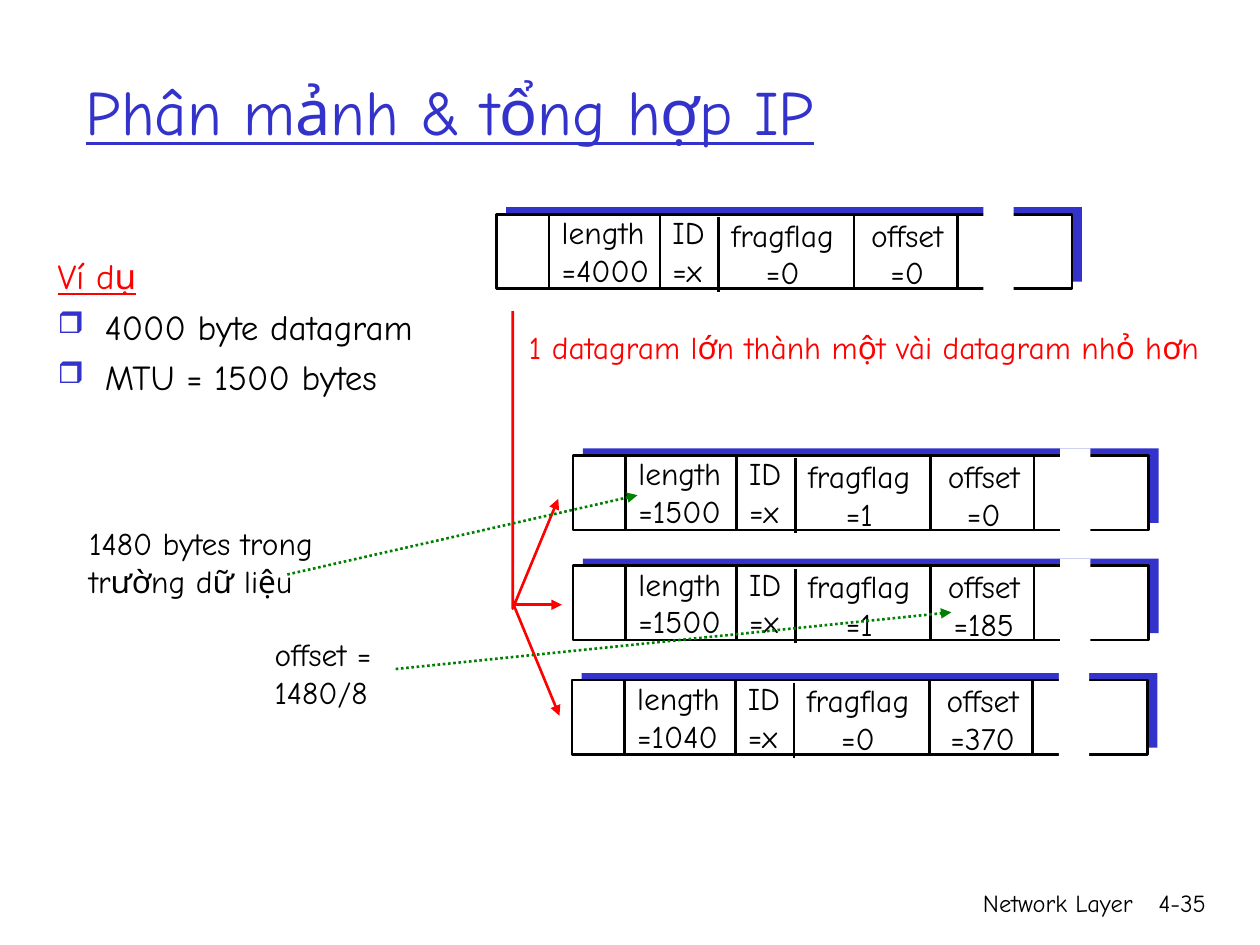
from lxml.etree import SubElement
from pptx import Presentation
from pptx.dml.color import RGBColor
from pptx.enum.dml import MSO_LINE
from pptx.enum.shapes import MSO_CONNECTOR, MSO_SHAPE
from pptx.enum.text import MSO_ANCHOR, MSO_AUTO_SIZE, PP_ALIGN
from pptx.oxml.ns import qn
from pptx.util import Pt

FONT = "Comic Neue"
BLACK = RGBColor(0x00, 0x00, 0x00)
WHITE = RGBColor(0xFF, 0xFF, 0xFF)
BLUE = RGBColor(0x33, 0x33, 0xCC)
RED = RGBColor(0xFF, 0x00, 0x00)
GREEN = RGBColor(0x00, 0x80, 0x00)
LEFT, CENTER, RIGHT = PP_ALIGN.LEFT, PP_ALIGN.CENTER, PP_ALIGN.RIGHT

TITLE = "Phân mảnh & tổng hợp IP"
EXAMPLE = "Ví dụ"
FACTS = ["4000 byte datagram", "MTU = 1500 bytes"]

# left, top, then the values of FIELDS
DATAGRAMS = [
    (283.7, 122.4, ["=x", "=0", "=0", "=4000"]),
    (327.5, 260.2, ["=x", "=0", "=1", "=1500"]),
    (327.5, 323.2, ["=x", "=185", "=1", "=1500"]),
    (326.8, 388.6, ["=x", "=370", "=0", "=1040"]),
]
# name, left and top inside the datagram, width, alignment
FIELDS = [
    ("ID", 93.5, -4.1, 36, LEFT),
    ("offset", 205, -2.7, 59.4, CENTER),
    ("fragflag", 125.2, -2.7, 76.7, CENTER),
    ("length", 30.2, -4.1, 68, LEFT),
]
# left and top inside the datagram
DIVIDERS = [(30, 0), (93.5, 0), (127, 1.7), (204.3, 0), (263.3, 0)]
BAR_W, BAR_H = 329, 42.6

# lines, left, top, width, height, size, colour, alignment
NOTES = [
    (["1 datagram lớn thành một vài datagram nhỏ hơn"], 295.2, 184, 402, 28.8, 18, RED, LEFT),
    (["1480 bytes trong", "trường dữ liệu"], 43.9, 296, 149, 50.4, 18, BLACK, LEFT),
    (["offset =", "1480/8"], 149.8, 359.5, 76, 50.4, 18, BLACK, LEFT),
]
FOOTER = [
    (["Network Layer"], 426.2, 504, 228.2, 36, 14, BLACK, RIGHT),
    (["4-35"], 643, 504, 53.3, 36, 14, BLACK, RIGHT),
]
SPLIT_PATH = [(293, 177.8), (293, 347.8), (319, 285.1)]
SPLIT_ARROWS = [((293, 345.6), (321.1, 345.6)), ((293.8, 346.3), (319.7, 409))]
POINTERS = [((164.2, 328.3), (364.3, 283)), ((226.1, 382.3), (543.6, 349.9))]


def add_run(p, text, size, color, underline=False):
    r = p.add_run()
    r.text = text
    r.font.name, r.font.size = FONT, Pt(size)
    r.font.color.rgb = color
    r.font.underline = underline


def add_text(s, lines, left, top, width, height, size, color, align, wrap=False):
    sp = s.shapes.add_textbox(Pt(left), Pt(top), Pt(width), Pt(height))
    tf = sp.text_frame
    tf.word_wrap = wrap
    tf.auto_size = MSO_AUTO_SIZE.NONE if wrap else MSO_AUTO_SIZE.SHAPE_TO_FIT_TEXT
    for i, line in enumerate(lines):
        p = tf.add_paragraph() if i else tf.paragraphs[0]
        p.alignment = align
        add_run(p, line, size, color)
    return tf


def add_bar(s, left, top, width, height, fill, line=None):
    sp = s.shapes.add_shape(MSO_SHAPE.RECTANGLE, Pt(left), Pt(top), Pt(width), Pt(height))
    sp.shadow.inherit = False
    sp.fill.solid()
    sp.fill.fore_color.rgb = fill
    if line is None:
        sp.line.fill.background()
    else:
        sp.line.color.rgb, sp.line.width = line, Pt(1.5)


def style_line(sp, color, arrow):
    sp.line.color.rgb, sp.line.width = color, Pt(1.5)
    if arrow:
        SubElement(sp.line._get_or_add_ln(), qn("a:tailEnd"), type="triangle")


def add_line(s, start, end, color, arrow=False, dash=None):
    sp = s.shapes.add_connector(MSO_CONNECTOR.STRAIGHT, *map(Pt, start + end))
    if dash:
        sp.line.dash_style = dash
    style_line(sp, color, arrow)
    SubElement(sp._element.spPr, qn("a:effectLst"))


def add_datagram(s, left, top, values):
    add_bar(s, left + 5.6, top - 4, BAR_W, BAR_H, BLUE)
    add_bar(s, left, top, BAR_W, BAR_H, WHITE, BLACK)
    for (name, dx, dy, width, align), value in zip(FIELDS, values):
        add_text(s, [name, value], left + dx, top + dy, width, 50.4, 18, BLACK, align)
    for dx, dy in DIVIDERS:
        x, y = left + dx, top + dy
        add_line(s, (x, y), (x, y + BAR_H), BLACK)
    add_bar(s, left + 278.3, top - 4, 17.3, 47.5, WHITE)


def add_example(s):
    tf = add_text(s, [], 25.9, 141.8, 223.2, 132.5, 20, RED, LEFT, wrap=True)
    add_run(tf.paragraphs[0], EXAMPLE, 20, RED, underline=True)
    for fact in FACTS:
        p = tf.add_paragraph()
        pPr = p._p.get_or_add_pPr()
        pPr.set("marL", str(Pt(27)))
        pPr.set("indent", str(Pt(-27)))
        p.space_before = Pt(5)
        SubElement(SubElement(pPr, qn("a:buClr")), qn("a:srgbClr"), val=str(BLUE))
        SubElement(pPr, qn("a:buSzPct"), val="85000")
        SubElement(pPr, qn("a:buChar"), char="❒")
        add_run(p, fact, 20, BLACK)


def add_title(s):
    sp = s.shapes.title
    sp.left, sp.top, sp.width, sp.height = Pt(41.8), Pt(18), Pt(612), Pt(90)
    tf = sp.text_frame
    tf.auto_size = MSO_AUTO_SIZE.NONE
    tf.vertical_anchor = MSO_ANCHOR.MIDDLE
    tf.paragraphs[0].alignment = LEFT
    add_run(tf.paragraphs[0], TITLE, 36, BLUE, underline=True)


def main():
    prs = Presentation()
    prs.slide_width, prs.slide_height = Pt(720), Pt(540)
    s = prs.slides.add_slide(prs.slide_layouts[5])
    add_title(s)
    for item in FOOTER:
        add_text(s, *item, wrap=True)
    for datagram in DATAGRAMS:
        add_datagram(s, *datagram)

    builder = s.shapes.build_freeform(*map(Pt, SPLIT_PATH[0]))
    builder.add_line_segments([(Pt(x), Pt(y)) for x, y in SPLIT_PATH[1:]], close=False)
    sp = builder.convert_to_shape()
    sp.shadow.inherit = False
    sp.fill.background()
    style_line(sp, RED, arrow=True)
    for start, end in SPLIT_ARROWS:
        add_line(s, start, end, RED, arrow=True)

    add_example(s)
    for note in NOTES:
        add_text(s, *note)
    for start, end in POINTERS:
        add_line(s, start, end, GREEN, arrow=True, dash=MSO_LINE.ROUND_DOT)
    prs.save("out.pptx")


if __name__ == "__main__":
    main()
